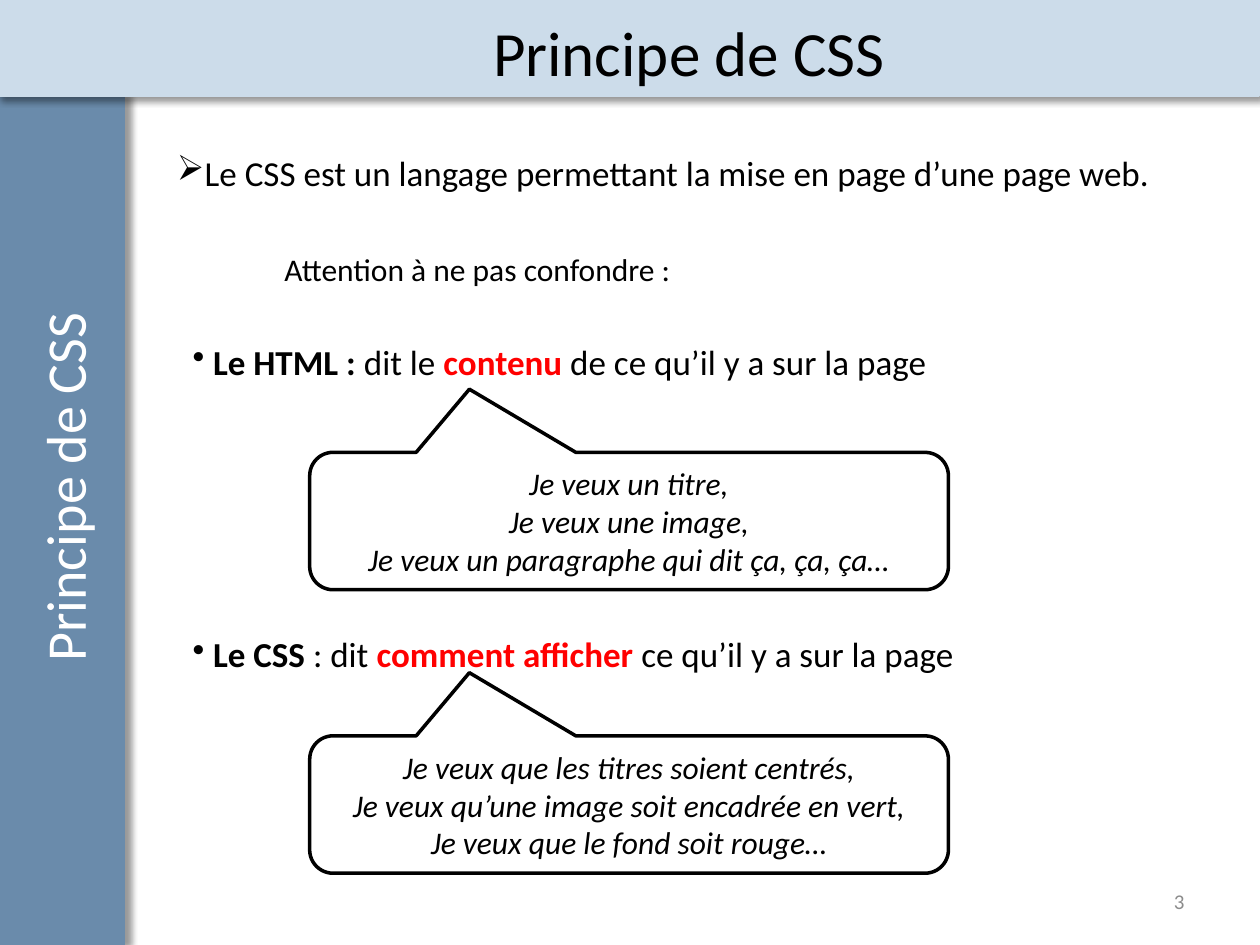
"""Build the slide that contrasts the roles of HTML and CSS."""
from dataclasses import dataclass

from lxml.etree import SubElement
from pptx import Presentation
from pptx.dml.color import RGBColor
from pptx.enum.shapes import MSO_SHAPE
from pptx.enum.text import MSO_ANCHOR, MSO_AUTO_SIZE, PP_ALIGN
from pptx.oxml.ns import qn
from pptx.util import Pt


@dataclass(frozen=True)
class Theme:
    font: str = "Calibri"
    ink: str = "000000"
    paper: str = "FFFFFF"
    accent: str = "FF0000"
    banner: str = "CCDCEA"
    sidebar: str = "6A8BAB"
    muted: str = "8C8C8C"
    title: int = 36
    side_title: int = 32
    body: int = 20
    note: int = 18
    number: int = 12
    line: int = 2


class SlideBuilder:
    def __init__(self, page, theme):
        self.page = page
        self.theme = theme

    def shape(self, kind, place, fill, line):
        shape = self.page.shapes.add_shape(kind, *map(Pt, place))
        shape.shadow.inherit = False
        shape.fill.solid()
        shape.fill.fore_color.rgb = RGBColor.from_string(fill)
        shape.line.color.rgb = RGBColor.from_string(line)
        shape.line.width = Pt(self.theme.line)
        return shape

    def band(self, place, color, angle):
        band = self.shape(MSO_SHAPE.RECTANGLE, place, color, color)
        effects = band._element.spPr.find(qn("a:effectLst"))
        shadow = SubElement(effects, qn("a:outerShdw"), blurRad=str(Pt(4)), dist=str(Pt(3)),
                            dir=str(angle * 60000), algn="ctr", rotWithShape="0")
        tint = SubElement(shadow, qn("a:srgbClr"), val=self.theme.ink)
        SubElement(tint, qn("a:alpha"), val="40000")

    def add_spans(self, paragraph, spans, size, color=None, italic=False):
        for text, emphasis, span_color in spans:
            span = paragraph.add_run()
            span.text = text
            span.font.name = self.theme.font
            span.font.size = Pt(size)
            span.font.bold = emphasis
            span.font.italic = italic
            span.font.color.rgb = RGBColor.from_string(span_color or color or self.theme.ink)

    def text(self, place, spans, size, color=None, align=PP_ALIGN.LEFT,
             anchor=MSO_ANCHOR.TOP, rotation=0, bullet=None, grow=False):
        box = self.page.shapes.add_textbox(*map(Pt, place))
        box.rotation = rotation
        frame = box.text_frame
        frame.word_wrap = True
        frame.vertical_anchor = anchor
        frame.auto_size = MSO_AUTO_SIZE.SHAPE_TO_FIT_TEXT if grow else MSO_AUTO_SIZE.NONE
        paragraph = frame.paragraphs[0]
        paragraph.alignment = align
        if bullet:
            SubElement(paragraph._p.get_or_add_pPr(), qn("a:buChar"), char=bullet)
        self.add_spans(paragraph, spans, size, color)

    def callout(self, place, lines):
        callout = self.shape(MSO_SHAPE.ROUNDED_RECTANGULAR_CALLOUT, place,
                             self.theme.paper, self.theme.ink)
        for index, value in enumerate((-0.25, -0.96, 0.17)):
            callout.adjustments[index] = value
        frame = callout.text_frame
        frame.word_wrap = True
        frame.vertical_anchor = MSO_ANCHOR.MIDDLE
        for index, line in enumerate(lines):
            paragraph = frame.add_paragraph() if index else frame.paragraphs[0]
            paragraph.alignment = PP_ALIGN.CENTER
            self.add_spans(paragraph, plain(line), self.theme.note, italic=True)


def plain(text):
    return [(text, False, None)]


def main():
    deck = Presentation()
    deck.slide_width, deck.slide_height = Pt(720), Pt(540)
    theme = Theme()
    slide = SlideBuilder(deck.slides.add_slide(deck.slide_layouts[6]), theme)

    slide.band((-1, 55, 71.5, 485), theme.sidebar, 0)
    slide.band((-1, 0, 720, 54.5), theme.banner, 45)

    heading = plain("Principe de CSS")
    slide.text((79, 6.5, 629.5, 45.5), heading, theme.title,
               align=PP_ALIGN.CENTER, anchor=MSO_ANCHOR.MIDDLE)
    slide.text((-160, 257, 390, 43), heading, theme.side_title, theme.paper,
               align=PP_ALIGN.CENTER, rotation=270)
    slide.text((516, 500.5, 168, 28.75), plain("3"), theme.number, theme.muted,
               align=PP_ALIGN.RIGHT, anchor=MSO_ANCHOR.MIDDLE)

    slide.text((94, 83, 592, 31.5),
               plain("Le CSS est un langage permettant la mise en page d’une page web."),
               theme.body, bullet="➢", grow=True)
    slide.text((155.5, 139.5, 280, 29), plain("Attention à ne pas confondre :"),
               theme.note, grow=True)

    roles = [
        (191, 258.5,
         [(" ", False, None), ("Le HTML : ", True, None), ("dit le ", False, None),
          ("contenu", True, theme.accent), (" de ce qu’il y a sur la page", False, None)],
         ["Je veux un titre,", "Je veux une image,",
          "Je veux un paragraphe qui dit ça, ça, ça…"]),
        (358, 420.5,
         [(" ", False, None), ("Le CSS ", True, None), (": dit ", False, None),
          ("comment afficher ", True, theme.accent), ("ce qu’il y a sur la page", False, None)],
         ["Je veux que les titres soient centrés,",
          "Je veux qu’une image soit encadrée en vert,",
          "Je veux que le fond soit rouge…"]),
    ]
    for role_top, callout_top, spans, wishes in roles:
        slide.callout((177, callout_top, 365, 78.5), wishes)
        slide.text((103, role_top, 460, 31.5), spans, theme.body, bullet="•", grow=True)

    deck.save("out.pptx")


if __name__ == "__main__":
    main()
